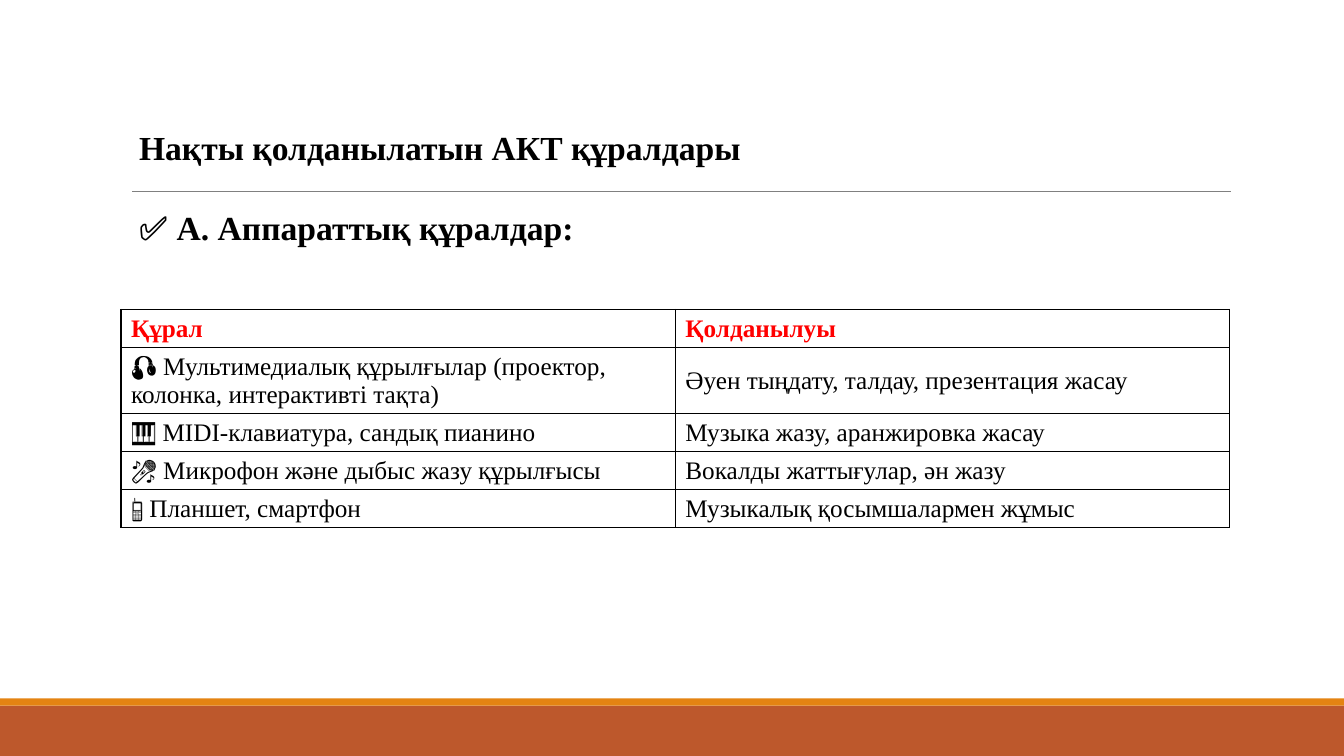
from dataclasses import dataclass

from lxml import etree
from pptx import Presentation
from pptx.dml.color import RGBColor
from pptx.enum.shapes import MSO_CONNECTOR, MSO_SHAPE
from pptx.enum.text import MSO_ANCHOR, MSO_AUTO_SIZE, PP_ALIGN
from pptx.oxml.ns import qn
from pptx.util import Cm, Pt

RECT = MSO_SHAPE.RECTANGLE
STRAIGHT = MSO_CONNECTOR.STRAIGHT
MIDDLE = MSO_ANCHOR.MIDDLE
NO_FIT = MSO_AUTO_SIZE.NONE
LEFT = PP_ALIGN.LEFT
TITLE_ONLY = 5

WIDTH, HEIGHT = 33.87, 19.05
TABLE_COL = 13.97
ROW_ONE, ROW_TWO = 0.96, 1.66

TOOLS = [
    ("Құрал", "Қолданылуы"),
    ("🎧 Мультимедиалық құрылғылар (проектор, колонка, интерактивті тақта)",
     "Әуен тыңдату, талдау, презентация жасау"),
    ("🎹 MIDI-клавиатура, сандық пианино", "Музыка жазу, аранжировка жасау"),
    ("🎤 Микрофон және дыбыс жазу құрылғысы", "Вокалды жаттығулар, ән жазу"),
    ("📱 Планшет, смартфон", "Музыкалық қосымшалармен жұмыс"),
]
ROW_HEIGHTS = [ROW_ONE, ROW_TWO, ROW_ONE, ROW_ONE, ROW_ONE]


@dataclass(frozen=True)
class Theme:
    font: str = "Times New Roman"
    text: str = "000000"
    header: str = "FF0000"
    rule: str = "808080"
    band: str = "BD582C"
    stripe: str = "E48312"
    heading_size: int = 24
    table_size: int = 18


THEME = Theme()
HEADING = {"name": THEME.font, "size": Pt(THEME.heading_size), "bold": True}
TABLE_HEAD = {"name": THEME.font, "size": Pt(THEME.table_size), "bold": True}
TABLE_BODY = {**TABLE_HEAD, "bold": False}


def write(tf, text, fmt, color):
    p = tf.paragraphs[0]
    p.alignment = LEFT
    r = p.add_run()
    r.text = text
    for name, value in fmt.items():
        setattr(r.font, name, value)
    r.font.color.rgb = RGBColor.from_string(color)


def format_heading(sp, text, top):
    place = {"left": 3.25, "top": top, "width": 15.82, "height": 1.5}
    for name, value in place.items():
        setattr(sp, name, Cm(value))
    tf = sp.text_frame
    frame = {"word_wrap": False, "auto_size": NO_FIT, "vertical_anchor": MIDDLE}
    for name, value in frame.items():
        setattr(tf, name, value)
    write(tf, text, HEADING, THEME.text)


def add_band(s, top, height, color):
    sp = s.shapes.add_shape(RECT, 0, Cm(top), Cm(WIDTH), Cm(height))
    sp.shadow.inherit = False
    sp.fill.solid()
    sp.fill.fore_color.rgb = RGBColor.from_string(color)
    sp.line.fill.background()


def add_rule(s, left, right, y):
    ln = s.shapes.add_connector(STRAIGHT, Cm(left), Cm(y), Cm(right), Cm(y))
    ln.line.color.rgb = RGBColor.from_string(THEME.rule)
    ln.line.width = Pt(0.5)
    etree.SubElement(ln._element.spPr, qn("a:effectLst"))


def add_borders(cell):
    tc_pr = cell._tc.get_or_add_tcPr()
    for i, side in enumerate(("lnL", "lnR", "lnT", "lnB")):
        ln = etree.Element(qn(f"a:{side}"), w=str(Pt(1)))
        fill = etree.SubElement(ln, qn("a:solidFill"))
        etree.SubElement(fill, qn("a:srgbClr"), val=THEME.text)
        tc_pr.insert(i, ln)


def add_tool_table(s, left, top):
    frame = s.shapes.add_table(len(TOOLS), 2, Cm(left), Cm(top),
                               Cm(2 * TABLE_COL), Cm(sum(ROW_HEIGHTS)))
    table = frame.table
    table.first_row = table.horz_banding = False
    for col in table.columns:
        col.width = Cm(TABLE_COL)
    for i, (row, height) in enumerate(zip(table.rows, ROW_HEIGHTS)):
        row.height = Cm(height)
        fmt, color = (TABLE_BODY, THEME.text) if i else (TABLE_HEAD, THEME.header)
        for cell, text in zip(row.cells, TOOLS[i]):
            cell.fill.background()
            cell.vertical_anchor = MIDDLE
            write(cell.text_frame, text, fmt, color)
            add_borders(cell)


def main():
    prs = Presentation()
    prs.slide_width, prs.slide_height = Cm(WIDTH), Cm(HEIGHT)
    s = prs.slides.add_slide(prs.slide_layouts[TITLE_ONLY])
    add_band(s, 17.78, 1.27, THEME.band)
    add_band(s, 17.6, 0.18, THEME.stripe)
    add_rule(s, 3.33, 31.01, 4.83)
    add_tool_table(s, 3.05, 7.8)
    format_heading(s.shapes.title, "Нақты қолданылатын АКТ құралдары", 2.96)
    subtitle = s.shapes.add_textbox(0, 0, 0, 0)
    format_heading(subtitle, "✅ А. Аппараттық құралдар:", 4.96)
    prs.save("out.pptx")


if __name__ == "__main__":
    main()
